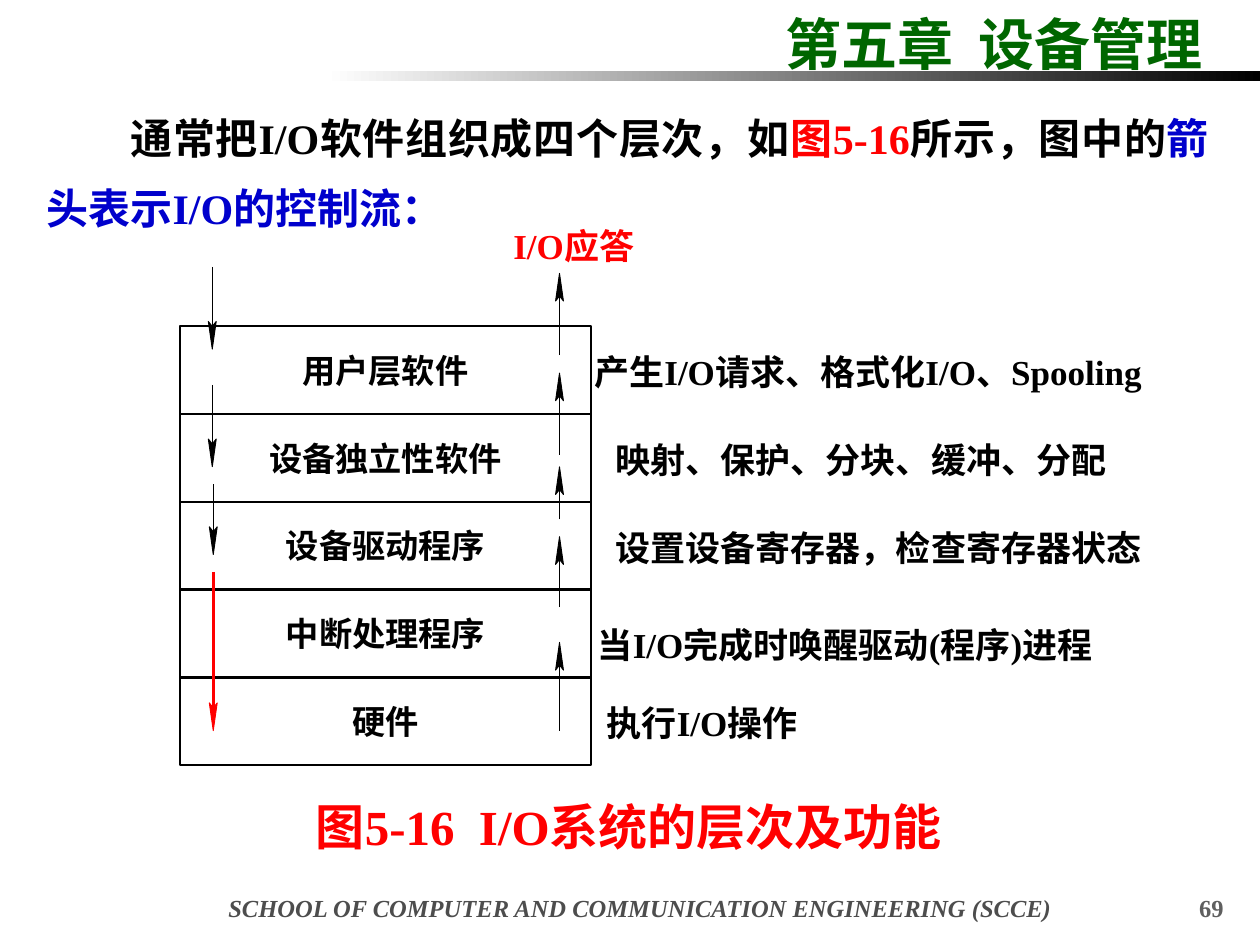
"""Build the slide on the layers of an I/O system and their functions."""
from lxml import etree
from pptx import Presentation
from pptx.dml.color import RGBColor
from pptx.enum.shapes import MSO_CONNECTOR, MSO_SHAPE
from pptx.enum.text import MSO_ANCHOR, PP_ALIGN
from pptx.oxml.ns import qn
from pptx.util import Cm, Pt

RECTANGLE = MSO_SHAPE.RECTANGLE
STRAIGHT = MSO_CONNECTOR.STRAIGHT
TOP, MIDDLE = MSO_ANCHOR.TOP, MSO_ANCHOR.MIDDLE
LEFT, CENTER, RIGHT, JUSTIFY = PP_ALIGN.LEFT, PP_ALIGN.CENTER, PP_ALIGN.RIGHT, PP_ALIGN.JUSTIFY

BLACK = RGBColor(0x00, 0x00, 0x00)
WHITE = RGBColor(0xFF, 0xFF, 0xFF)
RED = RGBColor(0xFF, 0x00, 0x00)
BLUE = RGBColor(0x00, 0x00, 0xCC)
GREEN = RGBColor(0x00, 0x66, 0x00)
DARK_GRAY = RGBColor(0x4D, 0x4D, 0x4D)
GRAY = RGBColor(0x5F, 0x5F, 0x5F)

LATIN_FONT = "Times New Roman"
ASIAN_FONT = "Noto Sans CJK SC"

LAYERS = ["用户层软件", "设备独立性软件", "设备驱动程序", "中断处理程序", "硬件"]
LAYER_LEFT, LAYER_TOP, LAYER_WIDTH = 3.63, 6.57, 8.28
LAYER_HEIGHT = 8.86 / len(LAYERS)

NOTES = [
    ("产生I/O请求、格式化I/O、Spooling", 11.98, 7.06, 12.3),
    ("映射、保护、分块、缓冲、分配", 12.41, 8.84, 10.4),
    ("设置设备寄存器，检查寄存器状态", 12.41, 10.62, 11.1),
    ("当I/O完成时唤醒驱动(程序)进程", 12.05, 12.57, 11.5),
    ("执行I/O操作", 12.23, 14.15, 4.7),
]
NOTE_HEIGHT = 0.84

REQUEST_ARROWS = [(4.28, 5.38, 7.04), (4.28, 7.76, 9.41), (4.3, 9.76, 11.18)]
INTERRUPT_ARROW = (4.3, 11.53, 14.73)
REPLY_X = 11.28
REPLY_ARROWS = [(7.16, 5.51), (9.17, 7.52), (10.47, 9.41), (12.24, 10.82), (14.73, 12.95)]
HEAD_LENGTH, HEAD_NOTCH, HEAD_OVERLAP, HEAD_HALF_WIDTH = 0.56, 0.46, 0.36, 0.08


def write_text(frame, text, size=20, color=BLACK, italic=False, align=LEFT,
               anchor=TOP, inset=(0, 0), line_spacing=None, indent=None):
    """Fill a text frame with one paragraph of a string or of (string, colour) pairs."""
    frame.word_wrap = True
    frame.vertical_anchor = anchor
    frame.margin_left = frame.margin_right = Cm(inset[0])
    frame.margin_top = frame.margin_bottom = Cm(inset[1])
    para = frame.paragraphs[0]
    para.alignment = align
    if line_spacing:
        para.line_spacing = line_spacing
    if indent:
        para._p.get_or_add_pPr().set("indent", str(Cm(indent)))
    pieces = [(text, color)] if isinstance(text, str) else text
    for words, shade in pieces:
        span = para.add_run()
        span.text = words
        span.font.size = Pt(size)
        span.font.name = LATIN_FONT
        span.font.bold = True
        span.font.italic = italic
        span.font.color.rgb = shade
        asian = etree.SubElement(span.font._element, qn("a:ea"))
        asian.set("typeface", ASIAN_FONT)


def add_text(page, text, left, top, width, height, **text_format):
    """Add a text box with the given text format."""
    box = page.shapes.add_textbox(Cm(left), Cm(top), Cm(width), Cm(height))
    write_text(box.text_frame, text, **text_format)


def add_title_bar(page):
    """Add the bar that fades from white to black under the title."""
    bar = page.shapes.add_shape(RECTANGLE, Cm(6.55), Cm(1.43), Cm(18.85), Cm(0.2))
    bar.shadow.inherit = False
    bar.line.fill.background()
    bar.fill.gradient()
    bar.fill.gradient_angle = 0
    for stop, color in zip(bar.fill.gradient_stops, (WHITE, BLACK)):
        stop.color.rgb = color


def add_layer(page, row, name):
    """Add one outlined layer of the stack with its centred name."""
    box = page.shapes.add_shape(
        RECTANGLE, Cm(LAYER_LEFT), Cm(LAYER_TOP + row * LAYER_HEIGHT),
        Cm(LAYER_WIDTH), Cm(LAYER_HEIGHT))
    box.shadow.inherit = False
    box.fill.background()
    box.line.color.rgb = BLACK
    box.line.width = Pt(1.25)
    write_text(box.text_frame, name, size=19, align=CENTER, anchor=MIDDLE)


def add_arrow(page, x, start, tip, color=BLACK, width=0.5):
    """Add a vertical arrow made of a shaft and a slender notched head."""
    back = 1 if start > tip else -1
    shaft = page.shapes.add_connector(
        STRAIGHT, Cm(x), Cm(start), Cm(x), Cm(tip + back * HEAD_OVERLAP))
    shaft.line.color.rgb = color
    shaft.line.width = Pt(width)
    etree.SubElement(shaft._element.spPr, qn("a:effectLst"))

    base = Cm(tip + back * HEAD_LENGTH)
    builder = page.shapes.build_freeform(Cm(x), Cm(tip))
    builder.add_line_segments([
        (Cm(x + HEAD_HALF_WIDTH), base),
        (Cm(x), Cm(tip + back * HEAD_NOTCH)),
        (Cm(x - HEAD_HALF_WIDTH), base),
    ], close=True)
    head = builder.convert_to_shape()
    head.shadow.inherit = False
    head.fill.solid()
    head.fill.fore_color.rgb = color
    head.line.color.rgb = color
    head.line.width = Pt(0.5)


def add_frame_texts(page):
    """Add the chapter title, the footer and the page number."""
    inset = (0.25, 0.13)
    add_text(page, "第五章  设备管理", 15.58, 0.06, 9.73, 1.63, size=32, color=GREEN, inset=inset)
    add_title_bar(page)
    add_text(page, "SCHOOL OF COMPUTER AND COMMUNICATION ENGINEERING (SCCE)",
             3.1, 17.88, 19.61, 0.86, size=14, color=DARK_GRAY, italic=True,
             align=CENTER, inset=inset)
    add_text(page, "69", 23.27, 17.88, 1.65, 0.71, size=14, color=GRAY,
             align=RIGHT, inset=inset)


def add_body_texts(page):
    """Add the introduction and the figure caption."""
    inset = (0.25, 0.13)
    introduction = [
        ("通常把I/O软件组织成四个层次，如", BLACK),
        ("图5-16", RED),
        ("所示，图中的", BLACK),
        ("箭头表示I/O的控制流：", BLUE),
    ]
    add_text(page, introduction, 0.69, 1.73, 23.93, 3.1, size=24, align=JUSTIFY,
             inset=inset, line_spacing=1.4, indent=1.69)
    add_text(page, "图5-16  I/O系统的层次及功能", 6.12, 15.93, 13.77, 1.45,
             size=28, color=RED, inset=inset)


def add_diagram(page):
    """Add the layers, the control flow arrows and the notes."""
    for row, name in enumerate(LAYERS):
        add_layer(page, row, name)
    for x, start, tip in REQUEST_ARROWS:
        add_arrow(page, x, start, tip)
    add_arrow(page, *INTERRUPT_ARROW, color=RED, width=1.5)
    for start, tip in REPLY_ARROWS:
        add_arrow(page, REPLY_X, start, tip)
    add_text(page, "I/O应答", 10.35, 4.52, 3, NOTE_HEIGHT, color=RED)
    for text, left, top, width in NOTES:
        add_text(page, text, left, top, width, NOTE_HEIGHT)


def main():
    """Build and save the deck."""
    deck = Presentation()
    deck.slide_width, deck.slide_height = Cm(25.4), Cm(19.05)
    page = deck.slides.add_slide(deck.slide_layouts[6])
    add_frame_texts(page)
    add_body_texts(page)
    add_diagram(page)
    deck.save("out.pptx")


if __name__ == "__main__":
    main()
